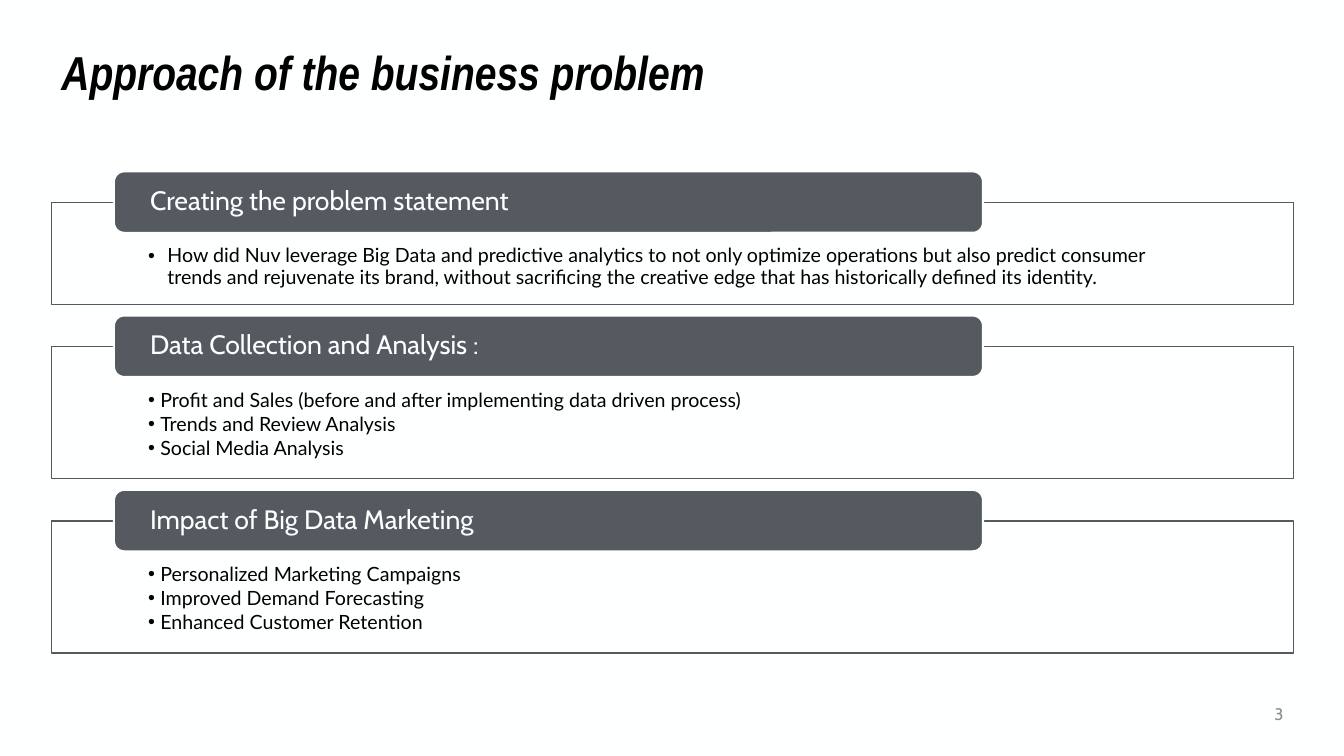
from dataclasses import dataclass

from lxml import etree
from pptx import Presentation
from pptx.dml.color import RGBColor
from pptx.enum.shapes import MSO_SHAPE
from pptx.enum.text import MSO_ANCHOR, MSO_AUTO_SIZE, PP_ALIGN
from pptx.oxml.ns import qn
from pptx.slide import Slide
from pptx.text.text import TextFrame
from pptx.util import Inches, Pt

ROUNDED = MSO_SHAPE.ROUNDED_RECTANGLE
TOP, MIDDLE = MSO_ANCHOR.TOP, MSO_ANCHOR.MIDDLE
LEFT, RIGHT = PP_ALIGN.LEFT, PP_ALIGN.RIGHT
NO_AUTOFIT = MSO_AUTO_SIZE.NONE
COMPARISON_LAYOUT = 4
SPARE_BODY = 4

WHITE, SLATE, BLACK, GRAY = "FEFFFF", "555960", "000000", "8C8C8C"
MARGIN_LEFT, CONTENT_WIDTH = 0.51, 12.32
HEADER_LEFT, HEADER_WIDTH, HEADER_HEIGHT = 1.13, 8.62, 0.61
HEADER_RISE = 0.31


@dataclass(frozen=True)
class Section:
    placeholder: int
    top: float
    height: float
    heading: str
    bullets: tuple[str, ...]
    indent: float = 0.12


@dataclass(frozen=True)
class TextStyle:
    font: str
    size: float
    color: str
    bold: bool = False
    italic: bool = False
    align: PP_ALIGN = LEFT
    line_spacing: float = 0.9
    space_after: float = 0


TITLE = TextStyle("Arial Narrow", 34, BLACK, bold=True, italic=True)
HEADING = TextStyle("Cabin", 19, WHITE)
BULLET = TextStyle("Lato", 14, BLACK, space_after=2.1)
PAGE_NUMBER = TextStyle("Cabin", 12, GRAY, align=RIGHT, line_spacing=1, space_after=6)

SECTIONS = (
    Section(1, 2.01, 1.01, "Creating the problem statement", (
        "How did Nuv leverage Big Data and predictive analytics to not only optimize "
        "operations but also predict consumer trends and rejuvenate its brand, without "
        "sacrificing the creative edge that has historically defined its identity.",
    ), indent=0.19),
    Section(2, 3.44, 1.31, "Data Collection and Analysis :", (
        "Profit and Sales (before and after implementing data driven process)",
        "Trends and Review Analysis",
        "Social Media Analysis",
    )),
    Section(3, 5.17, 1.31, "Impact of Big Data Marketing", (
        "Personalized Marketing Campaigns",
        "Improved Demand Forecasting",
        "Enhanced Customer Retention",
    )),
)


def rgb(color: str) -> RGBColor:
    return RGBColor.from_string(color)


def place(shape, left: float, top: float, width: float, height: float) -> None:
    shape.left, shape.top = Inches(left), Inches(top)
    shape.width, shape.height = Inches(width), Inches(height)


def paint(shape, fill: str, line: str, line_width: float) -> None:
    shape.fill.solid()
    shape.fill.fore_color.rgb = rgb(fill)
    shape.line.color.rgb = rgb(line)
    shape.line.width = Pt(line_width)


def set_frame(frame: TextFrame, anchor: MSO_ANCHOR, side: float = 0.1,
              top: float = 0.05, bottom: float = 0.05) -> None:
    frame.word_wrap = True
    frame.auto_size = NO_AUTOFIT
    frame.vertical_anchor = anchor
    frame.margin_left = frame.margin_right = Inches(side)
    frame.margin_top, frame.margin_bottom = Inches(top), Inches(bottom)


def write(paragraph, text: str, style: TextStyle) -> None:
    paragraph.alignment = style.align
    paragraph.line_spacing = style.line_spacing
    paragraph.space_before = Pt(0)
    paragraph.space_after = Pt(style.space_after)
    run = paragraph.add_run()
    run.text = text
    run.font.name = style.font
    run.font.size = Pt(style.size)
    run.font.bold = style.bold
    run.font.italic = style.italic
    run.font.color.rgb = rgb(style.color)


def add_bullet(paragraph, indent: float) -> None:
    properties = paragraph._p.get_or_add_pPr()
    properties.set("marL", str(Inches(indent)))
    properties.set("indent", str(-Inches(indent)))
    etree.SubElement(properties, qn("a:buFont")).set("typeface", "Arial")
    etree.SubElement(properties, qn("a:buChar")).set("char", "•")


def add_title(slide: Slide, text: str) -> None:
    title = slide.shapes.title
    place(title, MARGIN_LEFT, 0.42, CONTENT_WIDTH, 0.64)
    set_frame(title.text_frame, MIDDLE)
    write(title.text_frame.paragraphs[0], text, TITLE)


def add_section(slide: Slide, section: Section) -> None:
    """Draw the outlined list and the heading that overlaps its top edge."""
    panel = slide.placeholders[section.placeholder]
    place(panel, MARGIN_LEFT, section.top, CONTENT_WIDTH, section.height)
    paint(panel, WHITE, SLATE, 1)
    frame = panel.text_frame
    set_frame(frame, TOP, side=0.96, top=0.43, bottom=0.11)
    for index, text in enumerate(section.bullets):
        paragraph = frame.add_paragraph() if index else frame.paragraphs[0]
        write(paragraph, text, BULLET)
        add_bullet(paragraph, section.indent)

    header = slide.shapes.add_shape(
        ROUNDED, Inches(HEADER_LEFT), Inches(section.top - HEADER_RISE),
        Inches(HEADER_WIDTH), Inches(HEADER_HEIGHT))
    header.shadow.inherit = False
    paint(header, SLATE, WHITE, 1.5)
    set_frame(header.text_frame, MIDDLE, side=0.33, top=0, bottom=0)
    write(header.text_frame.paragraphs[0], section.heading, HEADING)


def add_page_number(slide: Slide, number: str) -> None:
    box = slide.shapes.add_textbox(Inches(11.63), Inches(6.88), Inches(1.2), Inches(0.4))
    set_frame(box.text_frame, MIDDLE)
    write(box.text_frame.paragraphs[0], number, PAGE_NUMBER)


def main() -> None:
    presentation = Presentation()
    presentation.slide_width, presentation.slide_height = Inches(13.33), Inches(7.5)
    slide = presentation.slides.add_slide(presentation.slide_layouts[COMPARISON_LAYOUT])
    slide.background.fill.solid()
    slide.background.fill.fore_color.rgb = rgb(WHITE)
    spare = slide.placeholders[SPARE_BODY].element
    spare.getparent().remove(spare)

    add_title(slide, "Approach of the business problem")
    for section in SECTIONS:
        add_section(slide, section)
    add_page_number(slide, "3")
    presentation.save("out.pptx")


if __name__ == "__main__":
    main()
